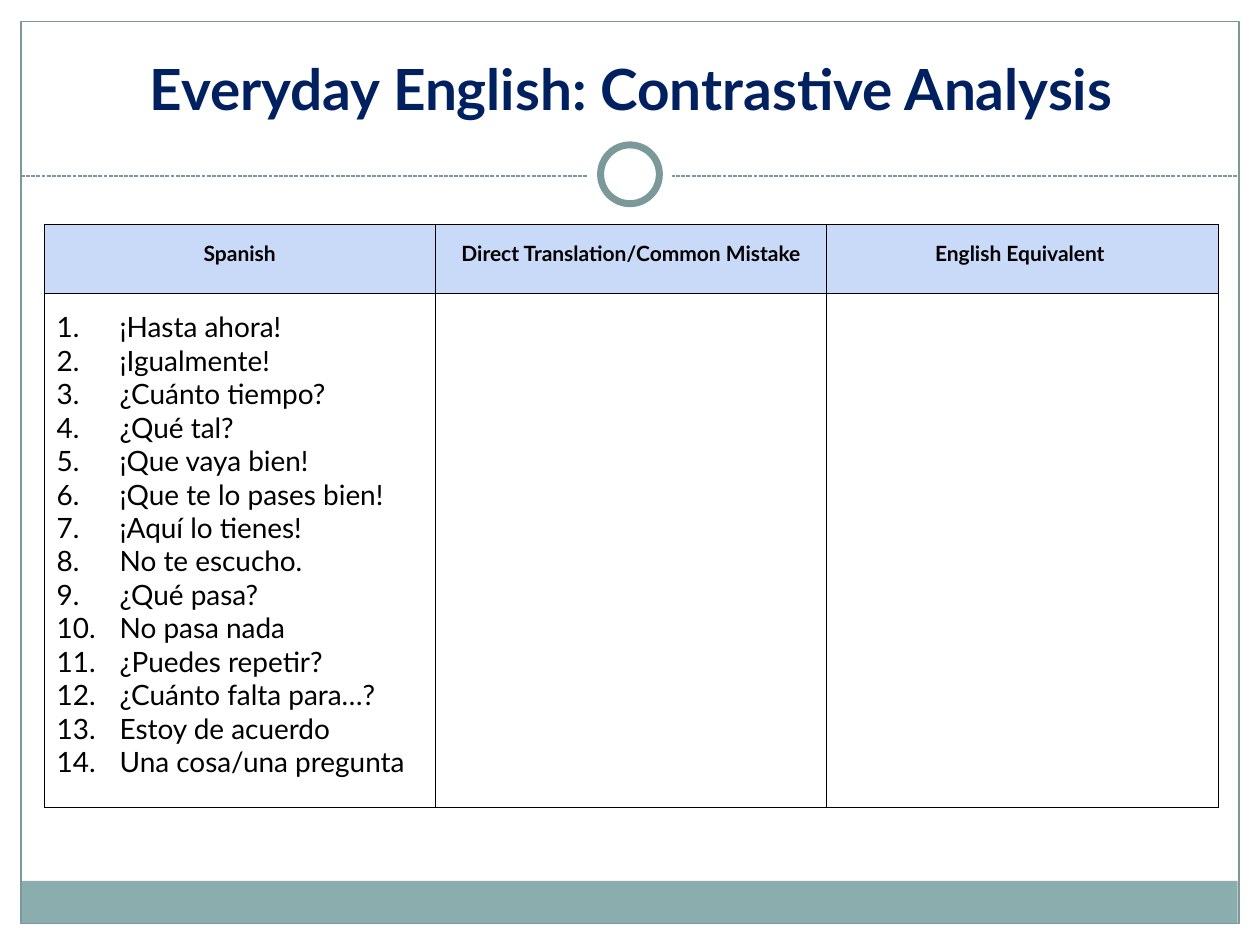
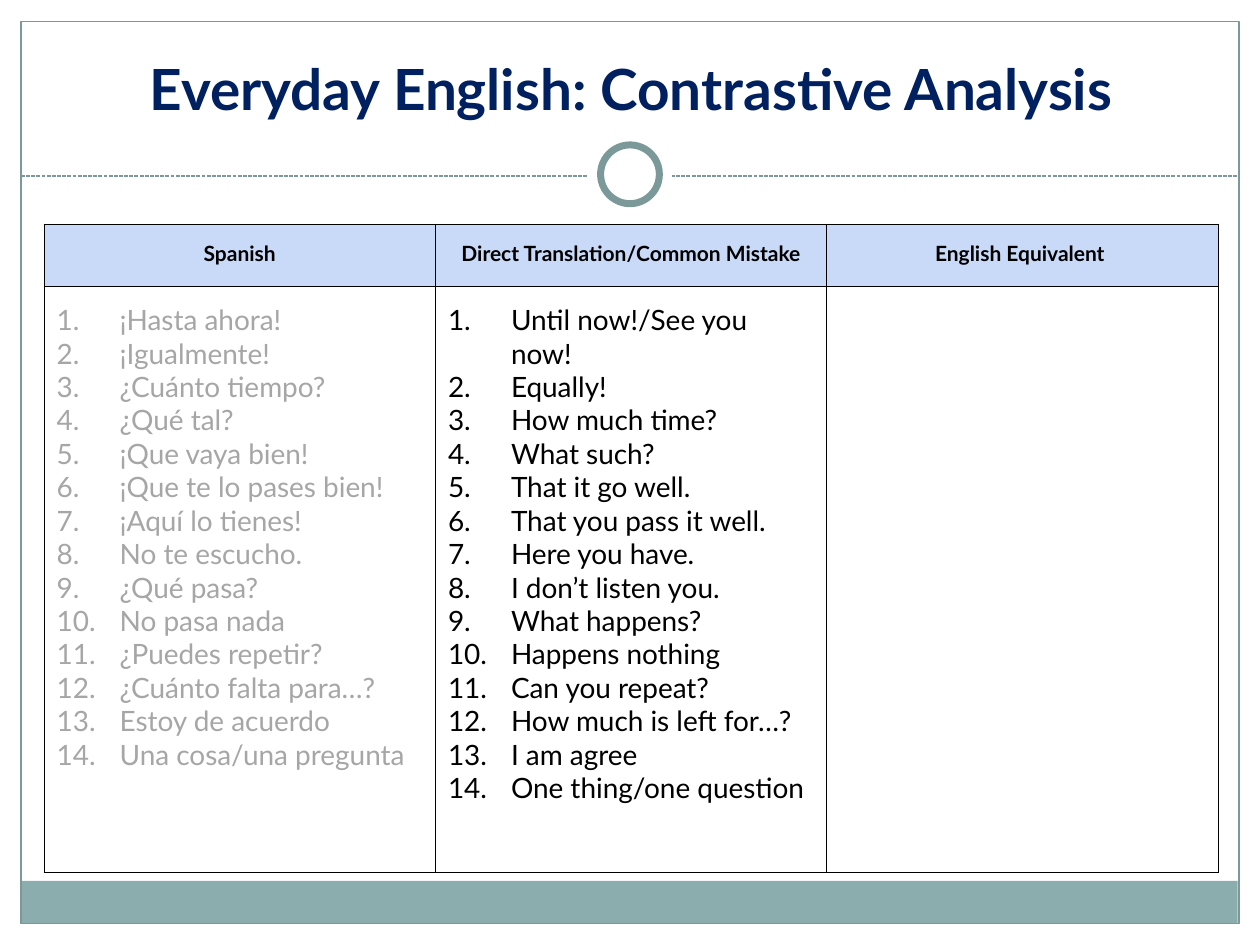
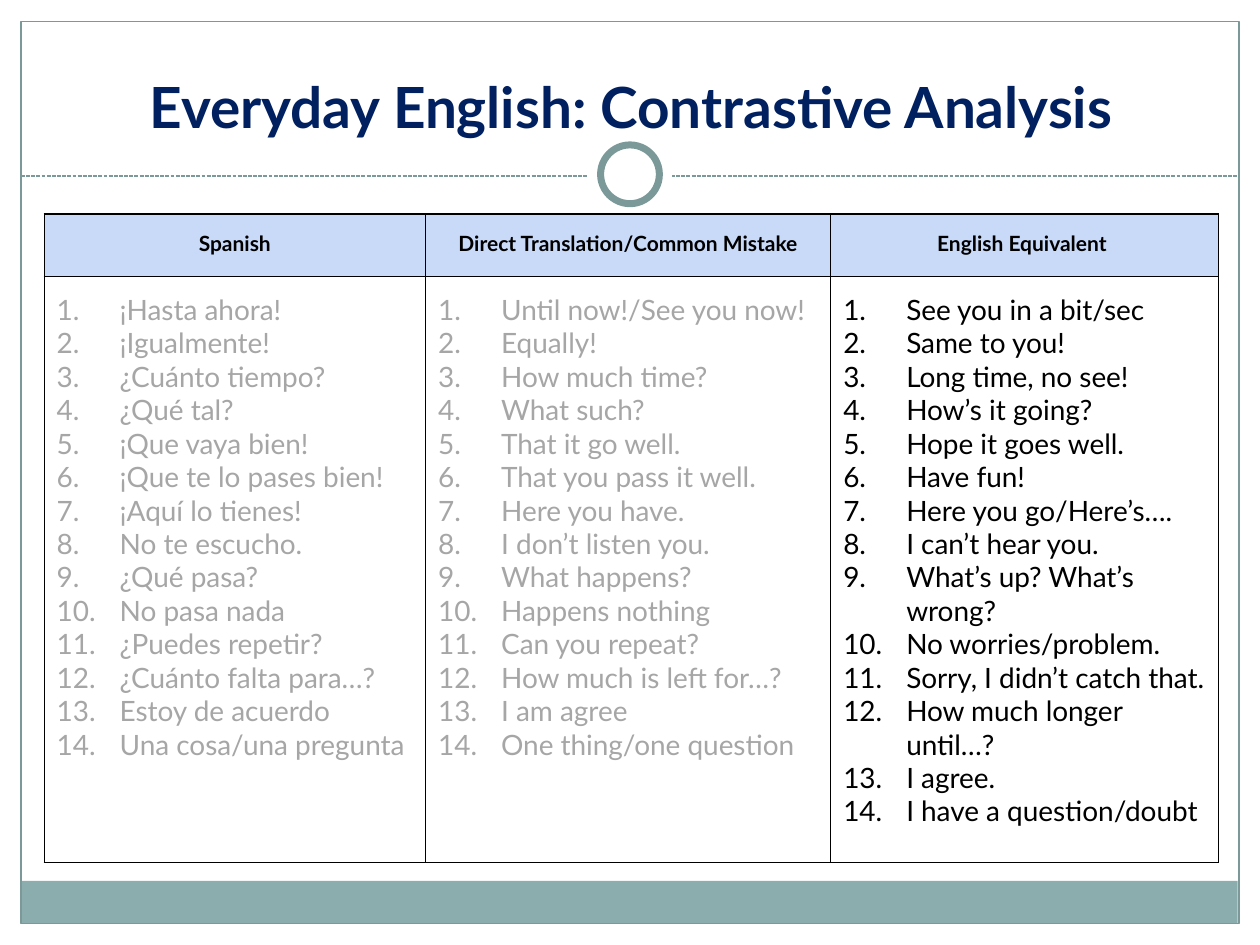
from dataclasses import dataclass
from typing import Any, Optional

from lxml import etree
from pptx import Presentation
from pptx.dml.color import RGBColor
from pptx.enum.dml import MSO_LINE
from pptx.enum.shapes import MSO_CONNECTOR, MSO_SHAPE
from pptx.enum.text import MSO_ANCHOR, PP_ALIGN
from pptx.oxml.ns import qn
from pptx.util import Pt

RECT, OVAL = MSO_SHAPE.RECTANGLE, MSO_SHAPE.OVAL
STRAIGHT, DASH = MSO_CONNECTOR.STRAIGHT, MSO_LINE.SQUARE_DOT
CENTER, LEFT, TOP = PP_ALIGN.CENTER, PP_ALIGN.LEFT, MSO_ANCHOR.TOP

WHITE = RGBColor(0xFF, 0xFF, 0xFF)
BLACK = RGBColor(0x00, 0x00, 0x00)
NAVY = RGBColor(0x00, 0x20, 0x60)
TEAL = RGBColor(0x8C, 0xAD, 0xAE)
TEAL_DARK = RGBColor(0x7C, 0x99, 0x9A)
HEADER_BLUE = RGBColor(0xC9, 0xDA, 0xF8)
GREY = RGBColor(0xA6, 0xA6, 0xA6)

TITLE = "Everyday English: Contrastive Analysis"
LEFT_EDGE, CONTENT_W = 25.2, 671
INDENT = Pt(36)
TITLE_FONT = {"name": "Lato", "size": Pt(32.4), "bold": True}
HEADER_FONT = {"name": "Lato", "size": Pt(12), "bold": True}
BODY_FONT = {"name": "Lato", "size": Pt(16), "bold": False}
TITLE_FRAME = {"word_wrap": True, "vertical_anchor": TOP, "margin_left": Pt(9.6),
               "margin_right": Pt(9.6), "margin_top": Pt(9.6), "margin_bottom": Pt(9.6)}
CELL_FRAME = {"vertical_anchor": TOP, "margin_left": Pt(7.2), "margin_right": Pt(7.2),
              "margin_top": Pt(9.6), "margin_bottom": Pt(9.6)}


@dataclass(frozen=True)
class Part:
    kind: Any
    left: float
    top: float
    width: float
    height: float
    fill: Optional[RGBColor] = None
    line_width: float = 0


@dataclass(frozen=True)
class Lesson:
    title_top: float
    table_top: float
    columns: tuple[float, ...]
    rows: tuple[float, float]
    filled: int  # number of columns with answers; the last one is highlighted


BACKDROP = [
    Part(RECT, 0, 0, 720, 109.4, WHITE),
    Part(RECT, 0, 0, 12, 540, WHITE),
    Part(RECT, 708, 0, 12, 540, WHITE),
    Part(RECT, 11.8, 503.4, 695.5, 24.4, TEAL),
    Part(RECT, 12, 12.2, 696, 515.6, None, 0.75),
]
RING = [
    Part(OVAL, 336, 75.6, 48, 48, WHITE),
    Part(OVAL, 343.2, 82.8, 33.6, 33.6, WHITE, 4),
]

HEADERS = ["Spanish", "Direct Translation/Common Mistake", "English Equivalent "]
PHRASES = [
    ("¡Hasta ahora!", "Until now!/See you now!", "See you in a bit/sec"),
    ("¡Igualmente!", "Equally!", "Same to you!"),
    ("¿Cuánto tiempo?", "How much time?", "Long time, no see!"),
    ("¿Qué tal?", "What such?", "How’s it going?"),
    ("¡Que vaya bien!", "That it go well.", "Hope it goes well."),
    ("¡Que te lo pases bien!", "That you pass it well.", "Have fun!"),
    ("¡Aquí lo tienes!", "Here you have.", "Here you go/Here’s…."),
    ("No te escucho.", "I don’t listen you.", "I can’t hear you."),
    ("¿Qué pasa?", "What happens?", "What’s up? What’s wrong?"),
    ("No pasa nada", "Happens nothing", "No worries/problem."),
    ("¿Puedes repetir?", "Can you repeat?", "Sorry, I didn’t catch that."),
    ("¿Cuánto falta para…?", "How much is left for…?", "How much longer until…?"),
    ("Estoy de acuerdo", "I am agree", "I agree."),
    ("Una cosa/una pregunta", "One thing/one question", "I have a question/doubt"),
]

EQUAL = (223.65,) * 3
LESSONS = [
    Lesson(20.9, 128.1, EQUAL, (39.7, 293.7), 1),
    Lesson(20.9, 128.1, EQUAL, (35.5, 335), 2),
    Lesson(31.7, 122.3, (218, 231.5, 221.6), (35.5, 335), 3),
]


def set_all(obj: Any, values: dict[str, Any]) -> None:
    for name, value in values.items():
        setattr(obj, name, value)


def write(p: Any, text: str, font: dict[str, Any], color: RGBColor, align: Any) -> None:
    p.alignment = align
    r = p.add_run()
    r.text = text
    set_all(r.font, font)
    r.font.color.rgb = color


def draw_part(s: Any, part: Part) -> None:
    sp = s.shapes.add_shape(part.kind, Pt(part.left), Pt(part.top),
                            Pt(part.width), Pt(part.height))
    sp.shadow.inherit = False
    if part.fill is None:
        sp.fill.background()
    else:
        sp.fill.solid()
        sp.fill.fore_color.rgb = part.fill
    if part.line_width:
        sp.line.color.rgb = TEAL_DARK
        sp.line.width = Pt(part.line_width)
    else:
        sp.line.fill.background()


def draw_divider(s: Any) -> None:
    line = s.shapes.add_connector(STRAIGHT, Pt(12), Pt(100.6), Pt(708), Pt(100.6))
    set_all(line.line, {"width": Pt(0.75), "dash_style": DASH})
    line.line.color.rgb = TEAL_DARK
    etree.SubElement(line._element.spPr, qn("a:effectLst"))


def draw_frame(s: Any) -> None:
    for part in BACKDROP:
        draw_part(s, part)
    draw_divider(s)
    for part in RING:
        draw_part(s, part)


def draw_title(s: Any, top: float) -> None:
    tf = s.shapes.add_textbox(Pt(LEFT_EDGE), Pt(top), Pt(CONTENT_W), Pt(60.5)).text_frame
    set_all(tf, TITLE_FRAME)
    write(tf.paragraphs[0], TITLE, TITLE_FONT, NAVY, CENTER)


def style_cell(cell: Any, fill: Optional[RGBColor]) -> None:
    set_all(cell, CELL_FRAME)
    tc_pr = cell._tc.get_or_add_tcPr()
    for side in ("lnL", "lnR", "lnT", "lnB"):
        ln = etree.SubElement(tc_pr, qn(f"a:{side}"), w=str(Pt(0.75)))
        solid = etree.SubElement(ln, qn("a:solidFill"))
        etree.SubElement(solid, qn("a:srgbClr"), val=str(BLACK))
    if fill is None:
        cell.fill.background()
    else:
        cell.fill.solid()
        cell.fill.fore_color.rgb = fill


def write_numbered(tf: Any, items: list[str], color: RGBColor) -> None:
    for i, item in enumerate(items):
        p = tf.add_paragraph() if i else tf.paragraphs[0]
        p_pr = p._p.get_or_add_pPr()
        p_pr.set("marL", str(INDENT))
        p_pr.set("indent", str(-INDENT))
        etree.SubElement(p_pr, qn("a:buClr")).append(
            etree.Element(qn("a:srgbClr"), val=str(color)))
        etree.SubElement(p_pr, qn("a:buFont"), typeface="Lato")
        etree.SubElement(p_pr, qn("a:buAutoNum"), type="arabicPeriod")
        write(p, item, BODY_FONT, color, LEFT)


def draw_table(s: Any, lesson: Lesson) -> None:
    table = s.shapes.add_table(2, len(HEADERS), Pt(LEFT_EDGE), Pt(lesson.table_top),
                               Pt(sum(lesson.columns)), Pt(sum(lesson.rows))).table
    set_all(table, {"first_row": False, "horz_banding": False})
    for row, height in zip(table.rows, lesson.rows):
        row.height = Pt(height)
    for col, (header, width) in enumerate(zip(HEADERS, lesson.columns)):
        table.columns[col].width = Pt(width)
        head, body = table.cell(0, col), table.cell(1, col)
        style_cell(head, HEADER_BLUE)
        style_cell(body, None)
        write(head.text_frame.paragraphs[0], header, HEADER_FONT, BLACK, CENTER)
        if col < lesson.filled:
            color = BLACK if col == lesson.filled - 1 else GREY
            write_numbered(body.text_frame, [row[col] for row in PHRASES], color)


def main() -> None:
    prs = Presentation()
    set_all(prs, {"slide_width": Pt(720), "slide_height": Pt(540)})
    for lesson in LESSONS:
        s = prs.slides.add_slide(prs.slide_layouts[6])
        draw_frame(s)
        draw_title(s, lesson.title_top)
        draw_table(s, lesson)
    prs.save("out.pptx")


if __name__ == "__main__":
    main()
